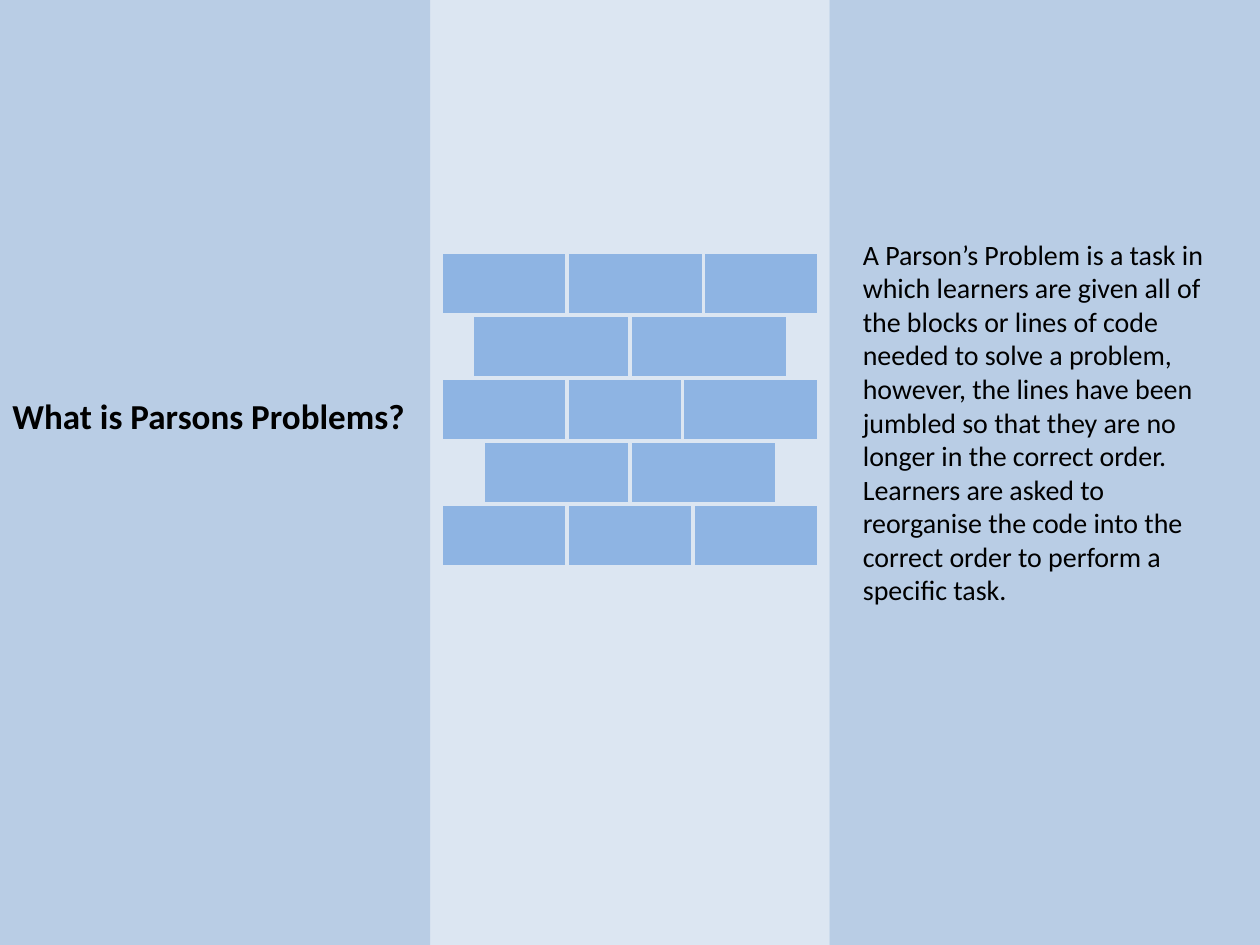
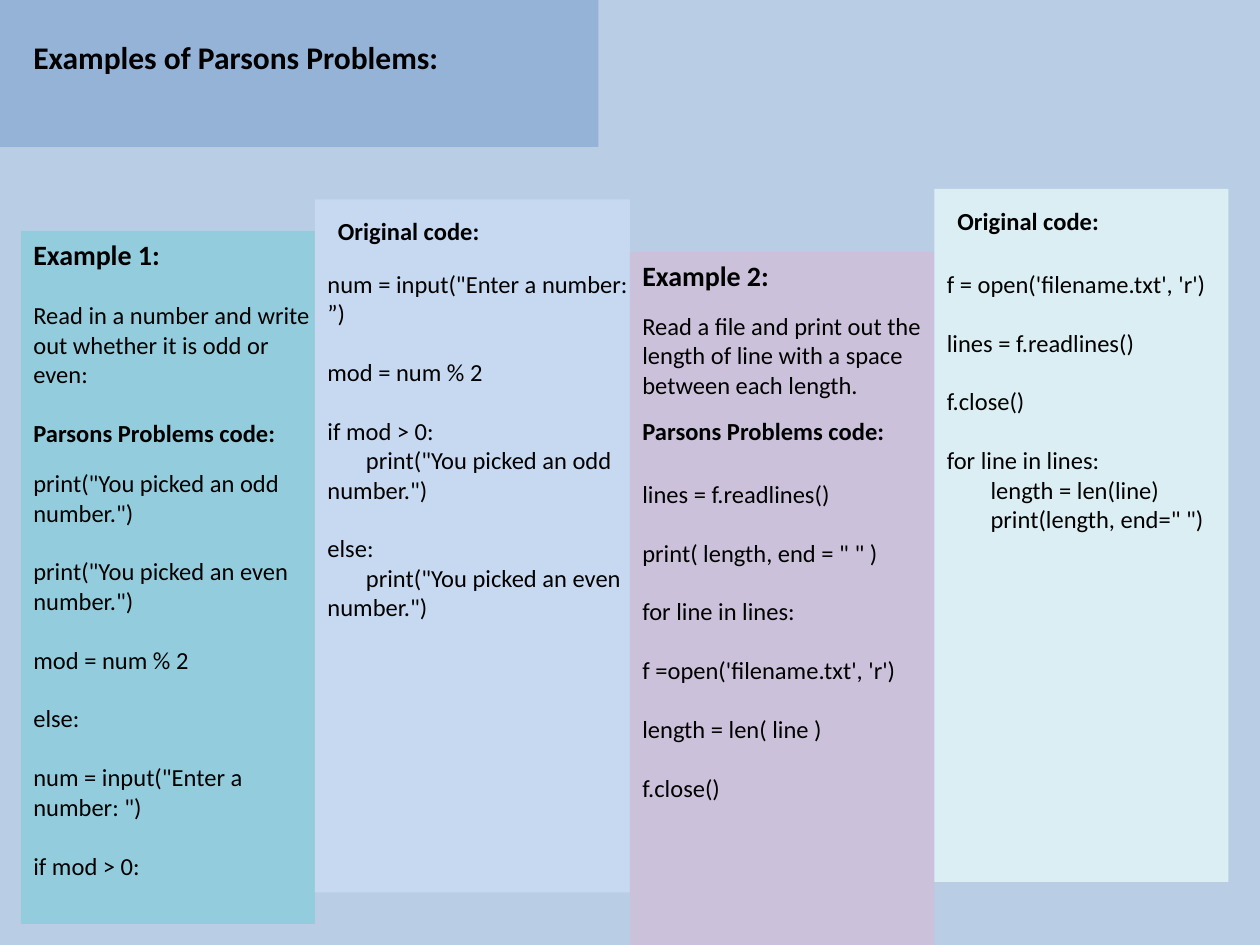
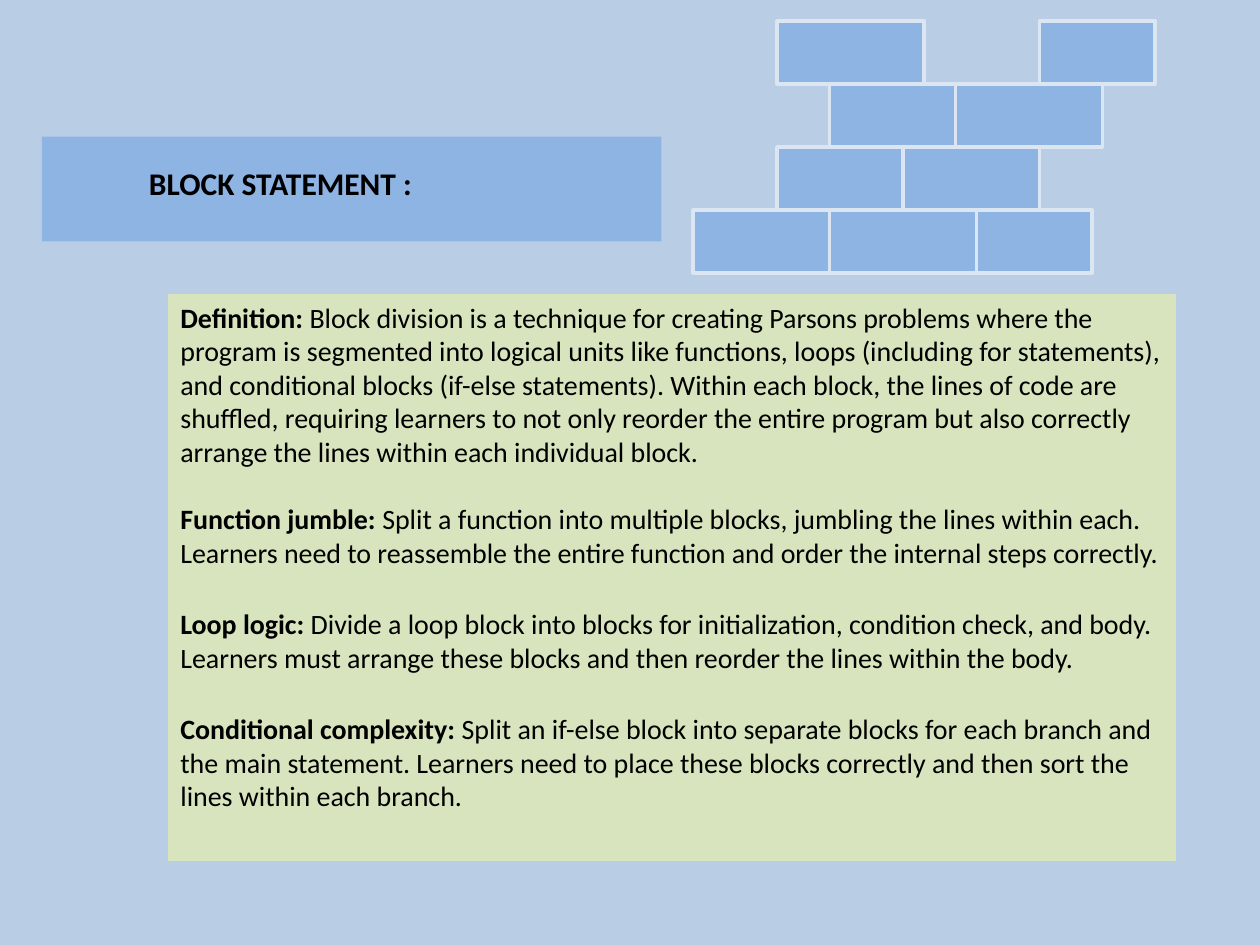
import dataclasses

import pptx
import pptx.dml.color
import pptx.enum.shapes
import pptx.util

COLUMNS, ROWS = 120, 90
UNIT = pptx.util.Inches(10) // COLUMNS
FONT = "Calibri"
BLACK = "000000"
BACKDROP = "B9CDE5"
PALE = "DCE6F2"
BRICK = "8EB4E3"
BRICK_ROWS = 6
BLANK_LINE = 1.2


@dataclasses.dataclass
class Line:
    text: str
    size: int = 14
    bold: bool = False
    lead: str = ""
    skip: int = 0
    indent: int = 0


def color(value):
    return pptx.dml.color.RGBColor.from_string(value)


def inside(box, part):
    return (box[0] + part[0], box[1] + part[1], part[2], part[3])


def place(box):
    return [UNIT * length for length in box]


def add_block(page, box, fill, outline=None):
    block = page.shapes.add_shape(
        pptx.enum.shapes.MSO_SHAPE.RECTANGLE, *place(box))
    block.shadow.inherit = False
    block.fill.solid()
    block.fill.fore_color.rgb = color(fill)
    if outline:
        block.line.color.rgb = color(outline)
        block.line.width = pptx.util.Pt(2)
    else:
        block.line.fill.background()


def add_span(para, text, size, bold):
    span = para.add_run()
    span.text = text
    span.font.name = FONT
    span.font.size = pptx.util.Pt(size)
    span.font.bold = bold
    span.font.color.rgb = color(BLACK)


def add_text(page, box, lines):
    frame = page.shapes.add_textbox(*place(box)).text_frame
    frame.word_wrap = True
    for index, line in enumerate(lines):
        para = frame.add_paragraph() if index else frame.paragraphs[0]
        if line.skip:
            para.space_before = pptx.util.Pt(line.skip * BLANK_LINE)
        if line.indent:
            properties = para._p.get_or_add_pPr()
            properties.set("marL", "0")
            properties.set("indent", str(pptx.util.Pt(line.indent)))
        if line.lead:
            add_span(para, line.lead, line.size, True)
        add_span(para, line.text, line.size, line.bold)


def add_wall(page, left, top, courses):
    for index, course in enumerate(courses):
        for start, width in course:
            brick = (left + start, top + index * BRICK_ROWS, width, BRICK_ROWS)
            add_block(page, brick, BRICK, PALE)


def add_panel(page, box, fill, texts):
    add_block(page, box, fill)
    for part, lines in texts:
        add_text(page, inside(box, part), lines)


def add_page(deck):
    return deck.slides.add_slide(deck.slide_layouts[6])


def add_backed_page(deck):
    page = add_page(deck)
    add_block(page, (0, 0, COLUMNS, ROWS), BACKDROP)
    return page


def spaced(*texts):
    return [Line(text, skip=14 if index else 0)
            for index, text in enumerate(texts)]


def build_question(deck):
    page = add_page(deck)
    add_block(page, (41, 0, 38, ROWS), PALE)
    add_panel(page, (79, 0, 41, ROWS), BACKDROP, [
        ((2, 22, 37, 37), [Line(
            "A Parson’s Problem is a task in which learners are given all of "
            "the blocks or lines of code needed to solve a problem, however, "
            "the lines have been jumbled so that they are no longer in the "
            "correct order. Learners are asked to reorganise the code into "
            "the correct order to perform a specific task.", 16)]),
    ])
    add_panel(page, (0, 0, 41, ROWS), BACKDROP, [
        ((0, 37, 41, 5), [Line("What is Parsons Problems?", 20, True)]),
    ])
    add_wall(page, 42, 24, [
        [(0, 12), (12, 13), (25, 11)],
        [(3, 15), (18, 15)],
        [(8, 15), (23, 13), (0, 12)],
        [(4, 14), (18, 14)],
        [(0, 12), (12, 12), (24, 12)],
    ])


def build_examples(deck):
    page = add_backed_page(deck)
    add_panel(page, (0, 0, 57, 14), "95B3D7", [
        ((2, 3, 49, 12), [Line("Examples of Parsons Problems:", 18, True)]),
    ])
    original_title = [Line("Original code:", bold=True)]
    jumbled_title = "Parsons Problems code:"
    add_panel(page, (2, 22, 28, 66), "93CDDD", [
        ((0, 0, 29, 21), [
            Line("Example 1:", 16, True),
            Line("Read in a number and write out whether it is odd or even:",
                 skip=14),
            Line(jumbled_title, bold=True, skip=14)]),
        ((0, 22, 29, 41), spaced(
            'print("You picked an odd number.")',
            'print("You picked an even number.")',
            "mod = num % 2",
            "else:",
            'num = input("Enter a number: ")',
            "if mod > 0:")),
    ])
    add_panel(page, (30, 19, 30, 66), "C6D9F1", [
        ((1, 1, 27, 4), original_title),
        ((0, 6, 32, 35), [
            *spaced('num = input("Enter a number: ”)',
                    "mod = num % 2",
                    "if mod > 0:"),
            Line('print("You picked an odd number.")', indent=22),
            Line("else:", skip=14),
            Line('print("You picked an even number.")', indent=22)]),
    ])
    add_panel(page, (60, 24, 29, 66), "CCC1DA", [
        ((0, 0, 25, 4), [Line("Example 2:", 16, True)]),
        ((0, 5, 29, 10), [Line(
            "Read a file and print out the length of line with a space "
            "between each length.")]),
        ((0, 15, 27, 4), [Line(jumbled_title, bold=True)]),
        ((0, 21, 29, 32), spaced(
            "lines = f.readlines()",
            'print( length, end = " " )',
            "for line in lines:",
            "f =open('filename.txt', 'r')",
            "length = len( line )",
            "f.close()")),
    ])
    add_panel(page, (89, 18, 28, 66), "DBEEF4", [
        ((1, 1, 20, 4), original_title),
        ((0, 7, 29, 27), [
            *spaced("f = open('filename.txt', 'r')",
                    "lines = f.readlines()",
                    "f.close()",
                    "for line in lines:"),
            Line("length = len(line)", indent=25),
            Line('print(length, end=" ")', indent=25)]),
    ])


def build_block_statement(deck):
    page = add_backed_page(deck)
    add_panel(page, (4, 13, 59, 10), BRICK, [
        ((9, 2, 34, 5), [Line("BLOCK STATEMENT :", 18, True)]),
    ])
    add_panel(page, (16, 28, 96, 54), "D7E4BD", [
        ((0, 0, 96, 50), [
            Line("Block division is a technique for creating Parsons problems "
                 "where the program is segmented into logical units like "
                 "functions, loops (including for statements), and "
                 "conditional blocks (if-else statements). Within each block, "
                 "the lines of code are shuffled, requiring learners to not "
                 "only reorder the entire program but also correctly arrange "
                 "the lines within each individual block.",
                 16, lead="Definition: "),
            Line("Split a function into multiple blocks, jumbling the lines "
                 "within each. Learners need to reassemble the entire "
                 "function and order the internal steps correctly.",
                 16, lead="Function jumble: ", skip=16),
            Line("Divide a loop block into blocks for initialization, "
                 "condition check, and body. Learners must arrange these "
                 "blocks and then reorder the lines within the body.",
                 16, lead="Loop logic: ", skip=18),
            Line("Split an if-else block into separate blocks for each branch "
                 "and the main statement. Learners need to place these blocks "
                 "correctly and then sort the lines within each branch.",
                 16, lead="Conditional complexity: ", skip=18)]),
    ])
    add_wall(page, 66, 2, [
        [(8, 14), (33, 11)],
        [(13, 12), (25, 14)],
        [(8, 12), (20, 13)],
        [(0, 13), (13, 14), (27, 11)],
    ])


def main():
    deck = pptx.Presentation()
    deck.slide_width = UNIT * COLUMNS
    deck.slide_height = UNIT * ROWS
    build_question(deck)
    build_examples(deck)
    build_block_statement(deck)
    deck.save("out.pptx")


if __name__ == "__main__":
    main()
